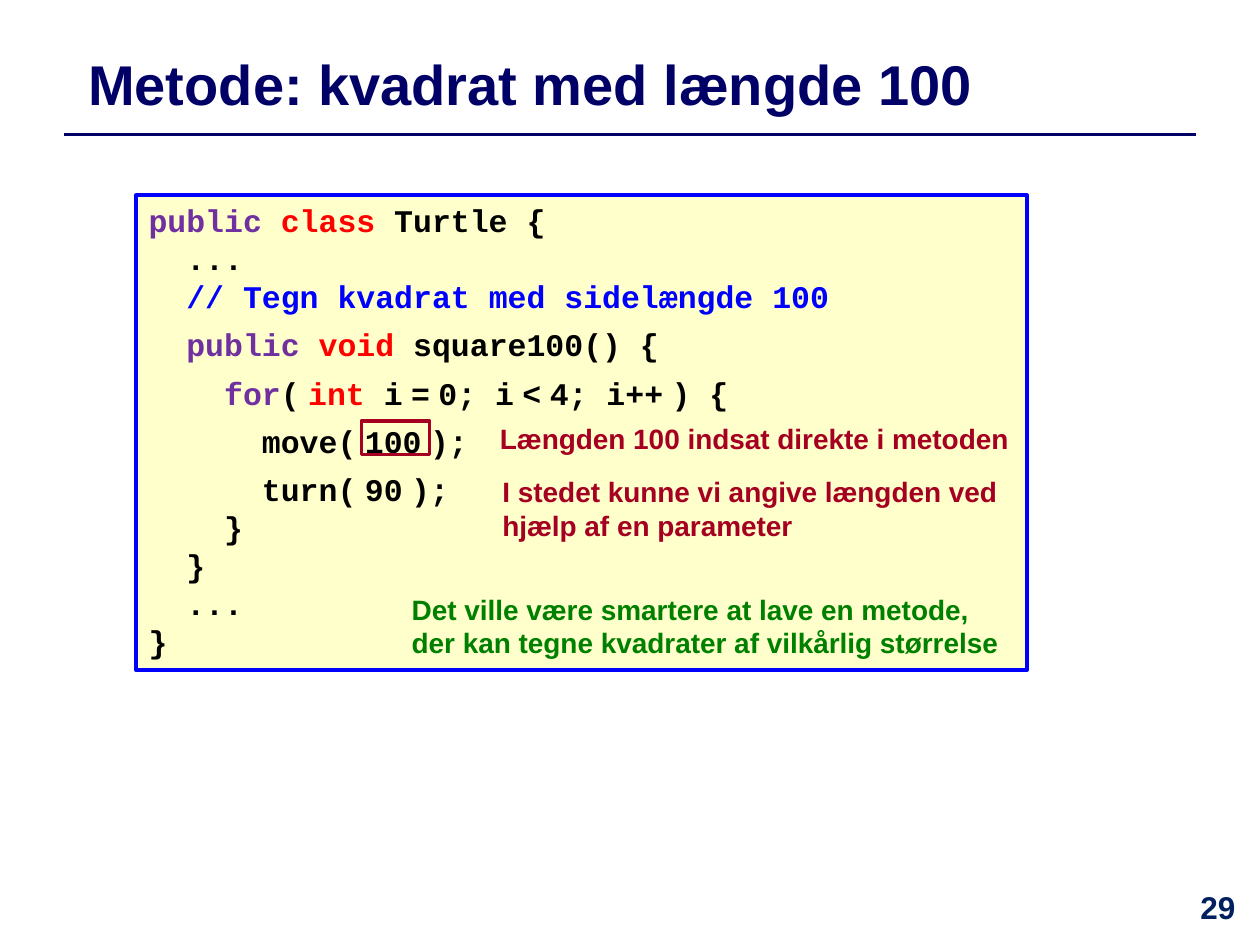
from lxml import etree
from pptx import Presentation
from pptx.dml.color import RGBColor
from pptx.enum.shapes import MSO_CONNECTOR, MSO_SHAPE
from pptx.enum.text import MSO_ANCHOR, MSO_AUTO_SIZE, PP_ALIGN
from pptx.oxml.ns import qn
from pptx.util import Pt

LINE, RECT = MSO_CONNECTOR.STRAIGHT, MSO_SHAPE.RECTANGLE
LEFT, CENTER = PP_ALIGN.LEFT, PP_ALIGN.CENTER
TOP, MIDDLE = MSO_ANCHOR.TOP, MSO_ANCHOR.MIDDLE
NO_FIT = MSO_AUTO_SIZE.NONE

NAVY, BLUE, BLACK = "000066", "0000FF", "000000"
PURPLE, RED, DARK_RED, GREEN = "7030A0", "FF0000", "A50021", "008000"
THIN = "~"  # marks a narrow space in the code

# Each code line: space before, then (text, colour) runs
CODE = [
    (0, [("public ", PURPLE), ("class", RED), (" Turtle {", BLACK)]),
    (0, [("  ...", BLACK)]),
    (0, [("  // Tegn kvadrat med sidelængde 100", BLUE)]),
    (6, [("  public ", PURPLE), ("void", RED), (" square100() {", BLACK)]),
    (6, [("    for", PURPLE), ("(~", BLACK), ("int ", RED),
         ("i~=~0; i~<~4; i++~) {", BLACK)]),
    (6, [("      move(~100~);", BLACK)]),
    (6, [("      turn(~90~);", BLACK)]),
    (0, [("    }", BLACK)]),
    (0, [("  }", BLACK)]),
    (0, [("  ...", BLACK)]),
    (0, [("}", BLACK)]),
]

NOTES = [
    ("Det ville være smartere at lave en metode, "
     "der kan tegne kvadrater af vilkårlig størrelse",
     (228.2, 334.8, 360, 46), GREEN),
    ("I stedet kunne vi angive længden ved hjælp af en parameter",
     (280, 267.8, 309, 46), DARK_RED),
    ("Længden 100 indsat direkte i metoden",
     (278.6, 237.6, 317.5, 26.6), DARK_RED),
]


def pts(box):
    return [Pt(n) for n in box]


def rgb(tone):
    return RGBColor.from_string(tone)


def style(font, size, tone, name="Arial"):
    form = {"size": Pt(size), "bold": True, "name": name}
    for key, value in form.items():
        setattr(font, key, value)
    font.color.rgb = rgb(tone)


def set_text(shape, text, size, tone, align=LEFT, anchor=TOP):
    frame = shape.text_frame
    form = {"text": text, "word_wrap": True, "auto_size": NO_FIT,
            "vertical_anchor": anchor}
    for key, value in form.items():
        setattr(frame, key, value)
    para = frame.paragraphs[0]
    para.alignment = align
    style(para.runs[0].font, size, tone)


def add_label(slide, text, box, size, tone, align=LEFT):
    label = slide.shapes.add_textbox(*pts(box))
    set_text(label, text, size, tone, align)


def add_title(slide, text):
    title = slide.shapes.title
    sides = ("left", "top", "width", "height")
    for side, value in zip(sides, pts((43.2, 20.2, 646.6, 54))):
        setattr(title, side, value)
    set_text(title, text, 32, NAVY, anchor=MIDDLE)


def add_rule(slide, left, right, y):
    rule = slide.shapes.add_connector(LINE, *pts((left, y, right, y)))
    rule.line.color.rgb = rgb(NAVY)
    rule.line.width = Pt(2)
    etree.SubElement(rule._element.spPr, qn("a:effectLst"))


def add_frame(slide, box, tone, width, fill=None):
    frame = slide.shapes.add_shape(RECT, *pts(box))
    frame.shadow.inherit = False
    frame.line.color.rgb = rgb(tone)
    frame.line.width = Pt(width)
    if fill:
        frame.fill.solid()
        frame.fill.fore_color.rgb = rgb(fill)
    else:
        frame.fill.background()
    return frame


def add_run(para, text, size, tone):
    run = para.add_run()
    run.text = text
    style(run.font, size, tone, "Courier New")


def add_code(slide, box):
    frame = add_frame(slide, box, BLUE, 2.25, "FFFFCC").text_frame
    frame.word_wrap = True
    frame.vertical_anchor = TOP
    for row, (gap, parts) in enumerate(CODE):
        para = frame.add_paragraph() if row else frame.paragraphs[0]
        para.alignment = LEFT
        para.space_before = Pt(gap)
        for text, tone in parts:
            for spot, piece in enumerate(text.split(THIN)):
                if spot:
                    add_run(para, " ", 8, tone)
                if piece:
                    add_run(para, piece, 18, tone)


def main():
    deck = Presentation()
    deck.slide_width, deck.slide_height = Pt(720), Pt(540)
    slide = deck.slides.add_slide(deck.slide_layouts[5])
    add_rule(slide, 36.7, 683.3, 77)
    add_title(slide, "Metode: kvadrat med længde 100")
    add_code(slide, (77.8, 111.6, 509, 271.4))
    add_frame(slide, (206.6, 240.5, 38.9, 19.4), DARK_RED, 2)
    for text, box, tone in NOTES:
        add_label(slide, text, box, 16, tone)
    add_label(slide, "29", (671.8, 504, 48.2, 36), 18, "002060", CENTER)
    deck.save("out.pptx")


if __name__ == "__main__":
    main()
